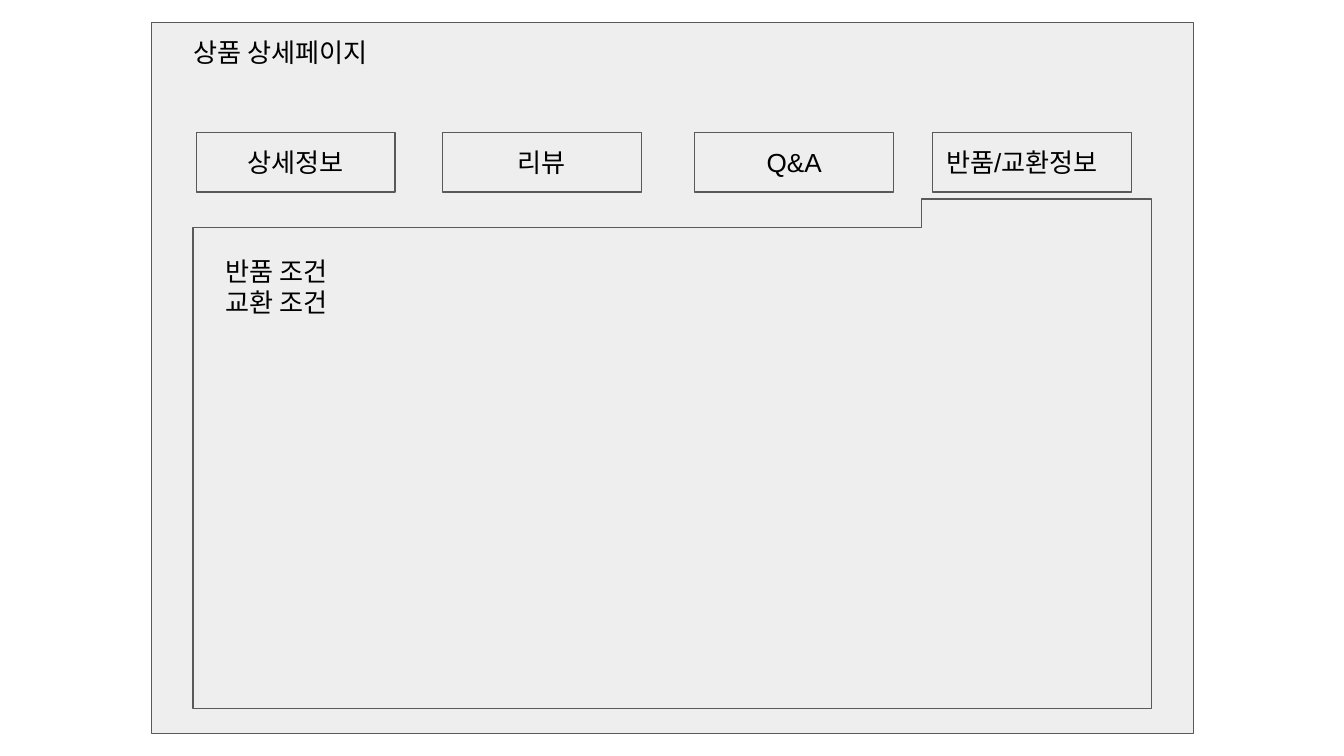
from dataclasses import dataclass

from pptx import Presentation
from pptx import util as u
from pptx.dml import color
from pptx.enum import shapes, text


@dataclass(frozen=True)
class Theme:
    """Colours, type and line sizes of the wireframe."""
    surface: color.RGBColor = color.RGBColor.from_string("EEEEEE")
    outline: color.RGBColor = color.RGBColor.from_string("595959")
    ink: color.RGBColor = color.RGBColor.from_string("000000")
    font: str = "Arial"
    body: u.Pt = u.Pt(14)
    border: u.Pt = u.Pt(0.75)
    inset: u.Cm = u.Cm(0.25)


@dataclass(frozen=True)
class Box:
    """A rectangle measured in centimetres."""
    left: float
    top: float
    width: float
    height: float

    def inner(self, dx, dy, width, height):
        """Return a box offset from this box's top left corner."""
        return Box(self.left + dx, self.top + dy, width, height)

    def emu(self):
        """Return the four lengths for python-pptx."""
        return [u.Cm(n) for n in (self.left, self.top, self.width, self.height)]


THEME = Theme()
TABS = (
    ("상세정보", 0.84, text.PP_ALIGN.CENTER),
    ("리뷰", 5.49, text.PP_ALIGN.CENTER),
    ("Q&A", 10.26, text.PP_ALIGN.CENTER),
    ("반품/교환정보", 14.76, text.PP_ALIGN.LEFT),
)


def write(holder, wording, align=text.PP_ALIGN.LEFT, anchor=text.MSO_ANCHOR.TOP):
    """Set and format the wording of a shape."""
    frame = holder.text_frame
    frame.text = wording
    frame.word_wrap = True
    frame.vertical_anchor = anchor
    frame.margin_left = frame.margin_right = THEME.inset
    frame.margin_top = frame.margin_bottom = THEME.inset
    for paragraph in frame.paragraphs:
        paragraph.alignment = align
        for run in paragraph.runs:
            run.font.name = THEME.font
            run.font.size = THEME.body
            run.font.color.rgb = THEME.ink


def add_surface(slide, box, preset=shapes.MSO_SHAPE.RECTANGLE):
    """Add an outlined grey shape."""
    surface = slide.shapes.add_shape(preset, *box.emu())
    surface.shadow.inherit = False
    surface.fill.solid()
    surface.fill.fore_color.rgb = THEME.surface
    surface.line.color.rgb = THEME.outline
    surface.line.width = THEME.border
    return surface


def add_label(slide, box, wording):
    """Add plain text that grows with its content."""
    label = slide.shapes.add_textbox(*box.emu())
    write(label, wording)
    label.text_frame.auto_size = text.MSO_AUTO_SIZE.SHAPE_TO_FIT_TEXT


def add_tabs(slide, box):
    """Place the tab buttons along the given strip."""
    for wording, offset, align in TABS:
        tab = add_surface(slide, box.inner(offset, 0, 3.76, box.height))
        write(tab, wording, align, text.MSO_ANCHOR.MIDDLE)


def add_tab_panel(slide, box):
    """Place the panel joined to the last tab, with its conditions."""
    upright = box.inner((box.width - box.height) / 2, (box.height - box.width) / 2,
                        box.height, box.width)
    panel = add_surface(slide, upright, shapes.MSO_SHAPE.CORNER)
    panel.rotation = 270
    panel.adjustments[0] = 0.451
    panel.adjustments[1] = 0.944
    add_label(slide, box.inner(0.36, 0.81, 16.81, 1.7), "반품 조건\n교환 조건")


def add_product_page(slide, box):
    """Place the product page and its regions."""
    add_surface(slide, box)
    add_label(slide, box.inner(0.53, 0, 18.77, 1.12), "상품 상세페이지")
    add_tabs(slide, box.inner(0, 2.08, box.width, 1.12))
    add_tab_panel(slide, box.inner(0.78, 3.33, 18.11, 9.63))


def main():
    """Build and save the presentation."""
    deck = Presentation()
    deck.slide_width, deck.slide_height = u.Cm(25.4), u.Cm(14.29)
    slide = deck.slides.add_slide(deck.slide_layouts[6])
    add_product_page(slide, Box(2.87, 0.43, 19.69, 13.44))
    deck.save("out.pptx")


if __name__ == "__main__":
    main()
